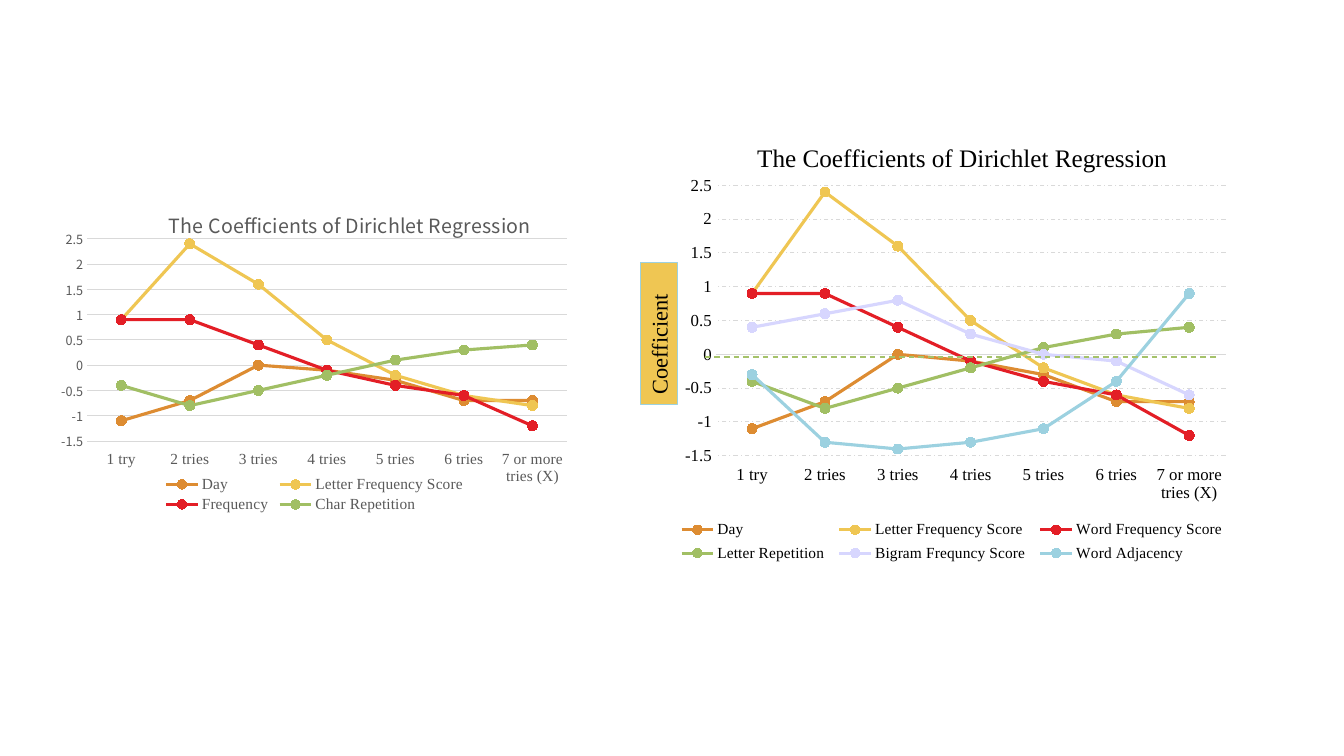
import lxml.etree
import pptx
import pptx.chart.data
import pptx.dml.color
import pptx.enum.chart
import pptx.enum.dml
import pptx.enum.shapes
import pptx.enum.text
import pptx.oxml
import pptx.oxml.ns
import pptx.util

RGB = pptx.dml.color.RGBColor
BLACK = RGB(0x00, 0x00, 0x00)
GREY = RGB(0x59, 0x59, 0x59)
PALE_GREY = RGB(0xD9, 0xD9, 0xD9)
ORANGE = RGB(0xDD, 0x8C, 0x32)
YELLOW = RGB(0xEF, 0xC6, 0x53)
RED = RGB(0xE3, 0x1E, 0x26)
GREEN = RGB(0xA1, 0xBF, 0x64)
LILAC = RGB(0xD7, 0xD6, 0xFE)
SKY = RGB(0x9C, 0xD1, 0xE0)
ZERO_GREEN = RGB(0xA5, 0xC2, 0x6A)

SERIF, SANS = "Times New Roman", "Noto Sans CJK SC"
TITLE = "The Coefficients of Dirichlet Regression"
TRIES = ["1 try", *(f"{n} tries" for n in range(2, 7)), "7 or more tries (X)"]
DASH = pptx.enum.dml.MSO_LINE

# Coefficients per number of tries
DAY = (-1.1, -0.7, 0, -0.1, -0.3, -0.7, -0.7)
LETTER_FREQUENCY = (0.9, 2.4, 1.6, 0.5, -0.2, -0.6, -0.8)
WORD_FREQUENCY = (0.9, 0.9, 0.4, -0.1, -0.4, -0.6, -1.2)
REPETITION = (-0.4, -0.8, -0.5, -0.2, 0.1, 0.3, 0.4)
BIGRAM = (0.4, 0.6, 0.8, 0.3, 0, -0.1, -0.6)
ADJACENCY = (-0.3, -1.3, -1.4, -1.3, -1.1, -0.4, 0.9)


def cells(*counts):
    """Lengths on a grid with ten columns and ten rows to the inch."""
    return [pptx.util.Inches(count / 10) for count in counts]


def style(target, formats):
    for attribute, value in formats.items():
        setattr(target, attribute, value)


def style_font(font, size, color, name):
    style(font, {"size": pptx.util.Pt(size), "name": name, "bold": False})
    font.color.rgb = color


def style_line(line, color, width, dash=None):
    line.color.rgb = color
    style(line, {"width": pptx.util.Pt(width), "dash_style": dash})


def place(part, before, **shares):
    """Fix a chart part at shares of the chart's size."""
    qn = pptx.oxml.ns.qn
    for old in part.findall(qn("c:layout")):
        part.remove(old)
    target = "" if before else '<c:layoutTarget val="inner"/>'
    modes = "".join(f'<c:{axis}Mode val="edge"/>' for axis in "xy")
    values = "".join(f'<c:{key} val="{share}"/>' for key, share in shares.items())
    layout = pptx.oxml.parse_xml(
        f'<c:layout {pptx.oxml.ns.nsdecls("c")}><c:manualLayout>'
        f"{target}{modes}{values}</c:manualLayout></c:layout>")
    part.insert(part.index(part.find(qn(before))) + 1 if before else 0, layout)


def add_coefficients(slide, box, series, title_font, tries_font, value_font,
                     legend_font, grid_dash, places):
    data = pptx.chart.data.CategoryChartData()
    data.categories = TRIES
    for name, coefficients, _ in series:
        data.add_series(name, coefficients)
    kinds = pptx.enum.chart
    chart = slide.shapes.add_chart(
        kinds.XL_CHART_TYPE.LINE_MARKERS, *cells(*box), data).chart
    style_font(chart.font, 10, BLACK, SANS)

    # Title and legend
    chart.has_title = chart.has_legend = True
    chart.chart_title.text_frame.text = TITLE
    style_font(chart.chart_title.text_frame.paragraphs[0].runs[0].font, *title_font)
    style(chart.legend, {"position": kinds.XL_LEGEND_POSITION.BOTTOM,
                         "include_in_layout": False})
    style_font(chart.legend.font, *legend_font)

    # Axes
    tries, values = chart.category_axis, chart.value_axis
    for axis, font in ((tries, tries_font), (values, value_font)):
        style(axis, {"major_tick_mark": kinds.XL_TICK_MARK.NONE,
                     "minor_tick_mark": kinds.XL_TICK_MARK.NONE})
        style_font(axis.tick_labels.font, *font)
    tries.tick_label_position = kinds.XL_TICK_LABEL_POSITION.LOW
    style_line(tries.format.line, PALE_GREY, 0.75)
    style(values, {"minimum_scale": -1.5, "maximum_scale": 2.5, "major_unit": 0.5,
                   "has_major_gridlines": True})
    values.format.line.fill.background()
    style_line(values.major_gridlines.format.line, PALE_GREY, 0.75, grid_dash)

    # Lines with round markers
    chart.plots[0].vary_by_categories = False
    for plotted, (_, _, color) in zip(chart.series, series):
        plotted.smooth = False
        style_line(plotted.format.line, color, 2.25)
        style(plotted.marker, {"style": kinds.XL_MARKER_STYLE.CIRCLE, "size": 7})
        plotted.marker.format.fill.solid()
        plotted.marker.format.fill.fore_color.rgb = color
        plotted.marker.format.line.color.rgb = color

    # Positions inside the chart
    for tag, before in (("title", "c:tx"), ("legend", "c:legendPos"), ("plotArea", None)):
        part = chart._chartSpace.xpath(f"c:chart/c:{tag}")[0]
        place(part, before, **places[tag])


def add_axis_label(slide, text, box):
    label = slide.shapes.add_shape(
        pptx.enum.shapes.MSO_SHAPE.RECTANGLE, *cells(*box))
    label.rotation = 270
    label.shadow.inherit = False
    label.fill.solid()
    label.fill.fore_color.rgb = YELLOW
    style_line(label.line, SKY, 0.75)
    style(label.text_frame, {"text": text, "word_wrap": True,
                             "vertical_anchor": pptx.enum.text.MSO_ANCHOR.MIDDLE})
    paragraph = label.text_frame.paragraphs[0]
    paragraph.alignment = pptx.enum.text.PP_ALIGN.LEFT
    style_font(paragraph.runs[0].font, 16, BLACK, SERIF)


def add_zero_line(slide, left, right, row):
    zero = slide.shapes.add_connector(
        pptx.enum.shapes.MSO_CONNECTOR.STRAIGHT, *cells(left, row, right, row))
    style_line(zero.line, ZERO_GREEN, 1, DASH.DASH)
    lxml.etree.SubElement(zero._element.spPr, pptx.oxml.ns.qn("a:effectLst"))


def main():
    deck = pptx.Presentation()
    style(deck, dict(zip(("slide_width", "slide_height"), cells(133.33, 75))))
    slide = deck.slides.add_slide(deck.slide_layouts[6])

    shared = [("Day", DAY, ORANGE),
              ("Letter Frequency Score", LETTER_FREQUENCY, YELLOW)]

    # Four predictors on the left
    add_coefficients(
        slide, (4, 18.3, 53.9, 32.9),
        [*shared, ("Frequency", WORD_FREQUENCY, RED),
         ("Char Repetition", REPETITION, GREEN)],
        title_font=(14, GREY, SANS), tries_font=(11, GREY, SERIF),
        value_font=(9, GREY, SANS), legend_font=(11, GREY, SERIF), grid_dash=None,
        places={"title": {"x": 0.23, "y": 0.06},
                "legend": {"x": 0.22, "y": 0.87, "w": 0.57, "h": 0.13},
                "plotArea": {"x": 0.086, "y": 0.164, "w": 0.883, "h": 0.61}})

    # Six predictors on the right
    add_coefficients(
        slide, (65.5, 12.8, 57.3, 44),
        [*shared, ("Word Frequency Score", WORD_FREQUENCY, RED),
         ("Letter Repetition", REPETITION, GREEN),
         ("Bigram Frequncy Score", BIGRAM, LILAC),
         ("Word Adjacency", ADJACENCY, SKY)],
        title_font=(18, BLACK, SERIF), tries_font=(12, BLACK, SERIF),
        value_font=(12, BLACK, SERIF), legend_font=(11, BLACK, SERIF),
        grid_dash=DASH.DASH_DOT,
        places={"title": {"x": 0.16, "y": 0.02},
                "legend": {"x": 0.02, "y": 0.87, "w": 0.97, "h": 0.12},
                "plotArea": {"x": 0.096, "y": 0.127, "w": 0.883, "h": 0.61}})

    add_axis_label(slide, "Coefficient", (58.3, 31.2, 14.1, 3.7))
    add_zero_line(slide, 69.9, 120.6, 35.4)
    deck.save("out.pptx")


if __name__ == "__main__":
    main()
